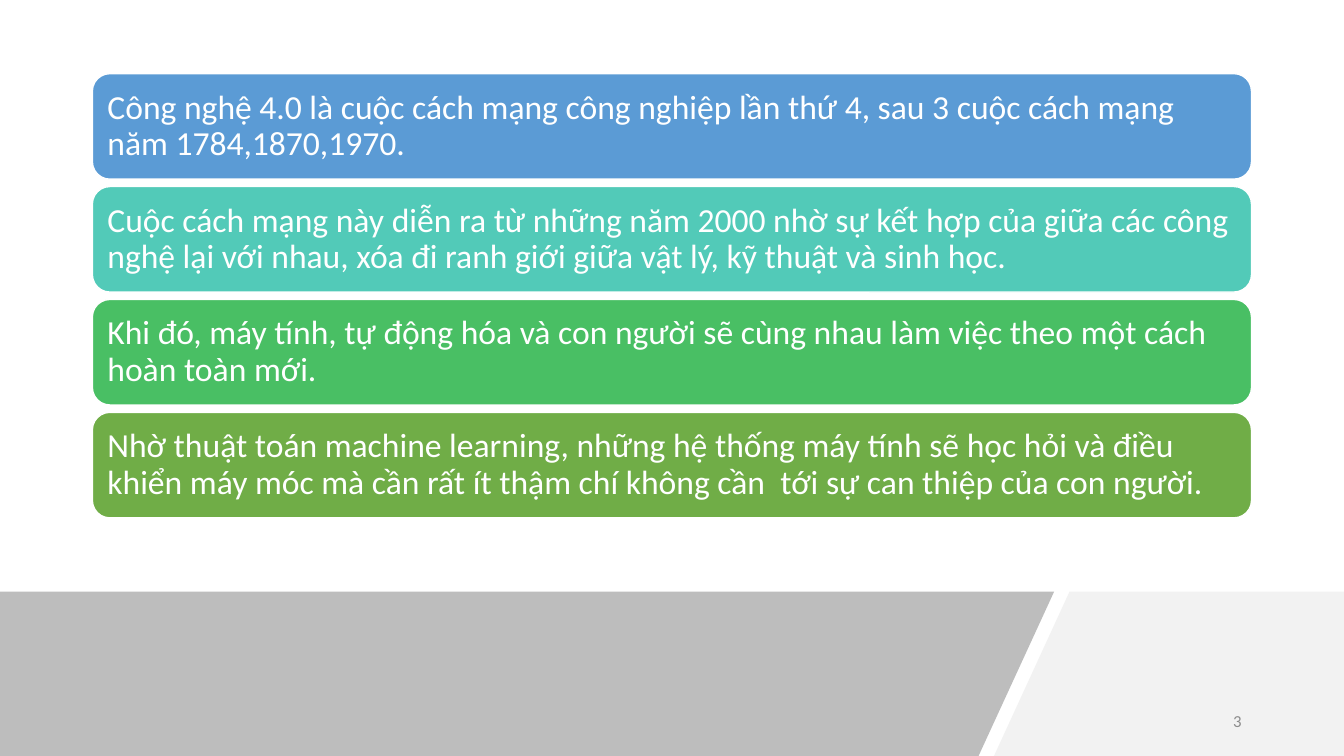
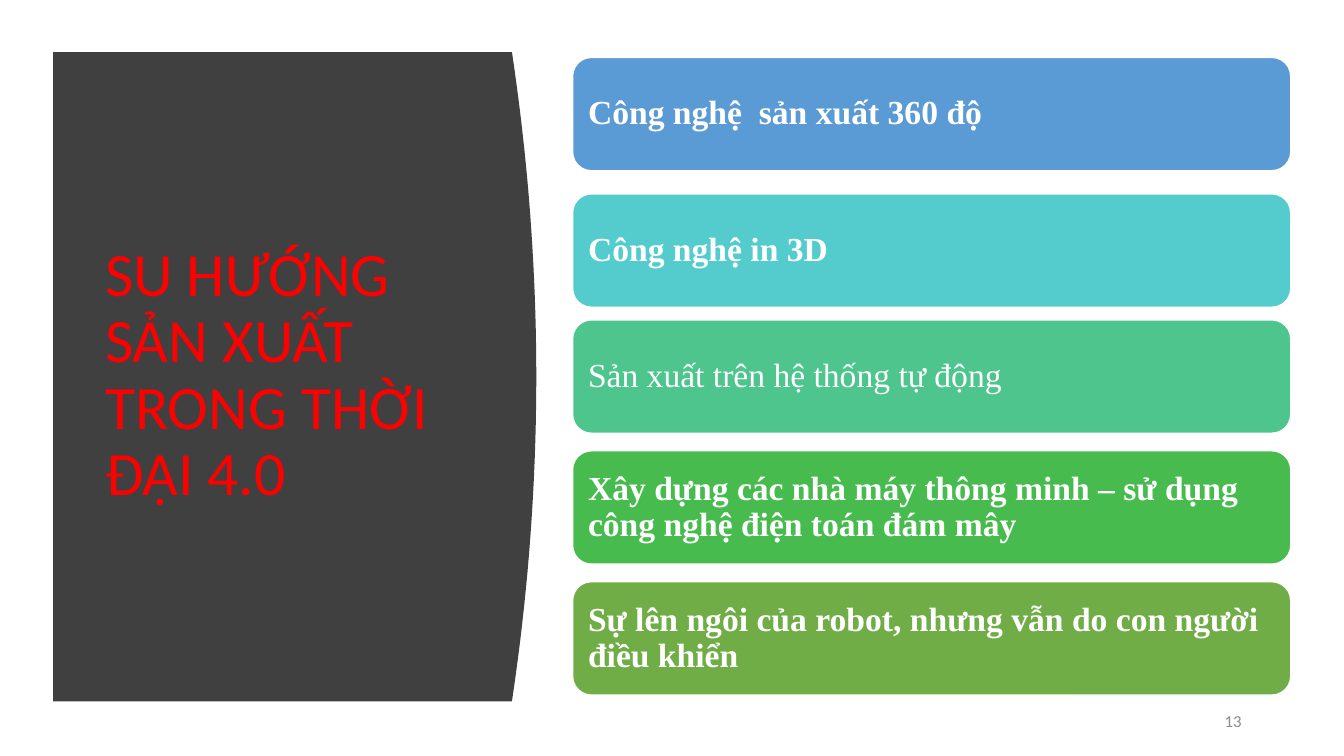
from dataclasses import dataclass

from pptx import Presentation
from pptx.dml.color import RGBColor
from pptx.enum.shapes import MSO_SHAPE
from pptx.enum.text import MSO_ANCHOR, PP_ALIGN
from pptx.util import Pt

ROUNDED = MSO_SHAPE.ROUNDED_RECTANGLE
MIDDLE = MSO_ANCHOR.MIDDLE
LEFT, RIGHT = PP_ALIGN.LEFT, PP_ALIGN.RIGHT


@dataclass(frozen=True)
class Theme:
    white: str = "FFFFFF"
    title: str = "FF0000"
    number: str = "8C8C8C"
    panel: str = "404040"
    band: str = "BDBDBD"
    band_end: str = "F2F2F2"
    sans: str = "Calibri"
    serif: str = "Times New Roman"
    title_size: int = 44
    card_size: int = 24
    number_size: int = 12


THEME = Theme()
PAGE_WIDTH, PAGE_HEIGHT = 960, 540

# Content: card text, fill, bold
REVOLUTION = [
    ("Công nghệ 4.0 là cuộc cách mạng công nghiệp lần thứ 4, sau 3 cuộc "
     "cách mạng năm 1784,1870,1970.", "5B9BD5", False),
    ("Cuộc cách mạng này diễn ra từ những năm 2000 nhờ sự kết hợp của giữa "
     "các công nghệ lại với nhau, xóa đi ranh giới giữa vật lý, kỹ thuật và "
     "sinh học.", "52CAB8", False),
    ("Khi đó, máy tính, tự động hóa và con người sẽ cùng nhau làm việc theo "
     "một cách hoàn toàn mới.", "49BF64", False),
    ("Nhờ thuật toán machine learning, những hệ thống máy tính sẽ học hỏi và "
     "điều khiển máy móc mà cần rất ít thậm chí không cần  tới sự can thiệp "
     "của con người.", "70AD47", False),
]
TRENDS_TITLE = "SU HƯỚNG SẢN XUẤT TRONG THỜI ĐẠI 4.0"
TRENDS = [
    ("Công nghệ  sản xuất 360 độ", "5B9BD5", True),
    ("Công nghệ in 3D", "54CCCD", True),
    ("Sản xuất trên hệ thống tự động", "4DC58D", False),
    ("Xây dựng các nhà máy thông minh – sử dụng công nghệ điện toán đám mây",
     "48BB4F", True),
    ("Sự lên ngôi của robot, nhưng vẫn do con người điều khiển",
     "70AD47", True),
]

# Layout
REVOLUTION_TOPS = [52.6 + 80.65 * row for row in range(len(REVOLUTION))]
TRENDS_TOPS = [41, 138.5, 228.5, 322, 415.5]
BAND_TOP = 422.6
PANEL_LEFT, PANEL_TOP, PANEL_BOTTOM = 38, 37.2, 501
PANEL_EDGE, PANEL_BULGE, PANEL_STEPS = 365.7, 17.4, 40


def write(shape, text, *, size, color, font=THEME.sans, bold=False,
          align=LEFT, spacing=1.0, inset=(7.2, 3.6)):
    frame = shape.text_frame
    frame.word_wrap = True
    frame.vertical_anchor = MIDDLE
    frame.margin_left = frame.margin_right = Pt(inset[0])
    frame.margin_top = frame.margin_bottom = Pt(inset[1])
    para = frame.paragraphs[0]
    para.alignment = align
    para.line_spacing = spacing
    span = para.add_run()
    span.text = text
    span.font.name = font
    span.font.size = Pt(size)
    span.font.bold = bold
    span.font.color.rgb = RGBColor.from_string(color)


def paint(shape, fill, line=None):
    shape.shadow.inherit = False
    shape.fill.solid()
    shape.fill.fore_color.rgb = RGBColor.from_string(fill)
    if line:
        shape.line.color.rgb = RGBColor.from_string(line)
        shape.line.width = Pt(1)
    else:
        shape.line.fill.background()


def add_text(page, text, bounds, **style):
    write(page.shapes.add_textbox(*map(Pt, bounds)), text, **style)


def add_outline(page, points, fill):
    start, *rest = [(Pt(x), Pt(y)) for x, y in points]
    builder = page.shapes.build_freeform(*start)
    builder.add_line_segments(rest, close=True)
    paint(builder.convert_to_shape(), fill)


def add_cards(page, cards, tops, left, width, height, font):
    for (text, fill, bold), top in zip(cards, tops):
        card = page.shapes.add_shape(
            ROUNDED, *map(Pt, (left, top, width, height)))
        paint(card, fill, THEME.white)
        write(card, text, size=THEME.card_size, color=THEME.white, font=font,
              bold=bold, spacing=0.9, inset=(7.2, 7.2))


def add_page(deck):
    return deck.slides.add_slide(deck.slide_layouts[6])


def add_number(page, number):
    add_text(page, number, (678, 500.5, 216, 28.75), size=THEME.number_size,
             color=THEME.number, align=RIGHT)


def build_revolution(deck):
    page = add_page(deck)
    # Slanted bottom band
    add_outline(page, [(764, BAND_TOP), (PAGE_WIDTH, BAND_TOP),
                       (PAGE_WIDTH, PAGE_HEIGHT), (710, PAGE_HEIGHT)],
                THEME.band_end)
    add_outline(page, [(0, BAND_TOP), (753, BAND_TOP),
                       (699, PAGE_HEIGHT), (0, PAGE_HEIGHT)], THEME.band)
    add_cards(page, REVOLUTION, REVOLUTION_TOPS, 66, 828, 75.4, THEME.sans)
    add_number(page, "3")


def build_trends(deck):
    page = add_page(deck)
    # Title panel with a parabolic right edge
    outline = [(PANEL_LEFT, PANEL_TOP)]
    for step in range(PANEL_STEPS + 1):
        share = step / PANEL_STEPS
        outline.append((PANEL_EDGE + PANEL_BULGE * 4 * share * (1 - share),
                        PANEL_TOP + (PANEL_BOTTOM - PANEL_TOP) * share))
    outline.append((PANEL_LEFT, PANEL_BOTTOM))
    add_outline(page, outline, THEME.panel)
    add_text(page, TRENDS_TITLE, (68, 80, 269, 377), size=THEME.title_size,
             color=THEME.title, spacing=0.9)
    add_cards(page, TRENDS, TRENDS_TOPS, 409, 513, 81, THEME.serif)
    add_number(page, "13")


def main():
    deck = Presentation()
    deck.slide_width, deck.slide_height = Pt(PAGE_WIDTH), Pt(PAGE_HEIGHT)
    build_revolution(deck)
    build_trends(deck)
    deck.save("out.pptx")


if __name__ == "__main__":
    main()
